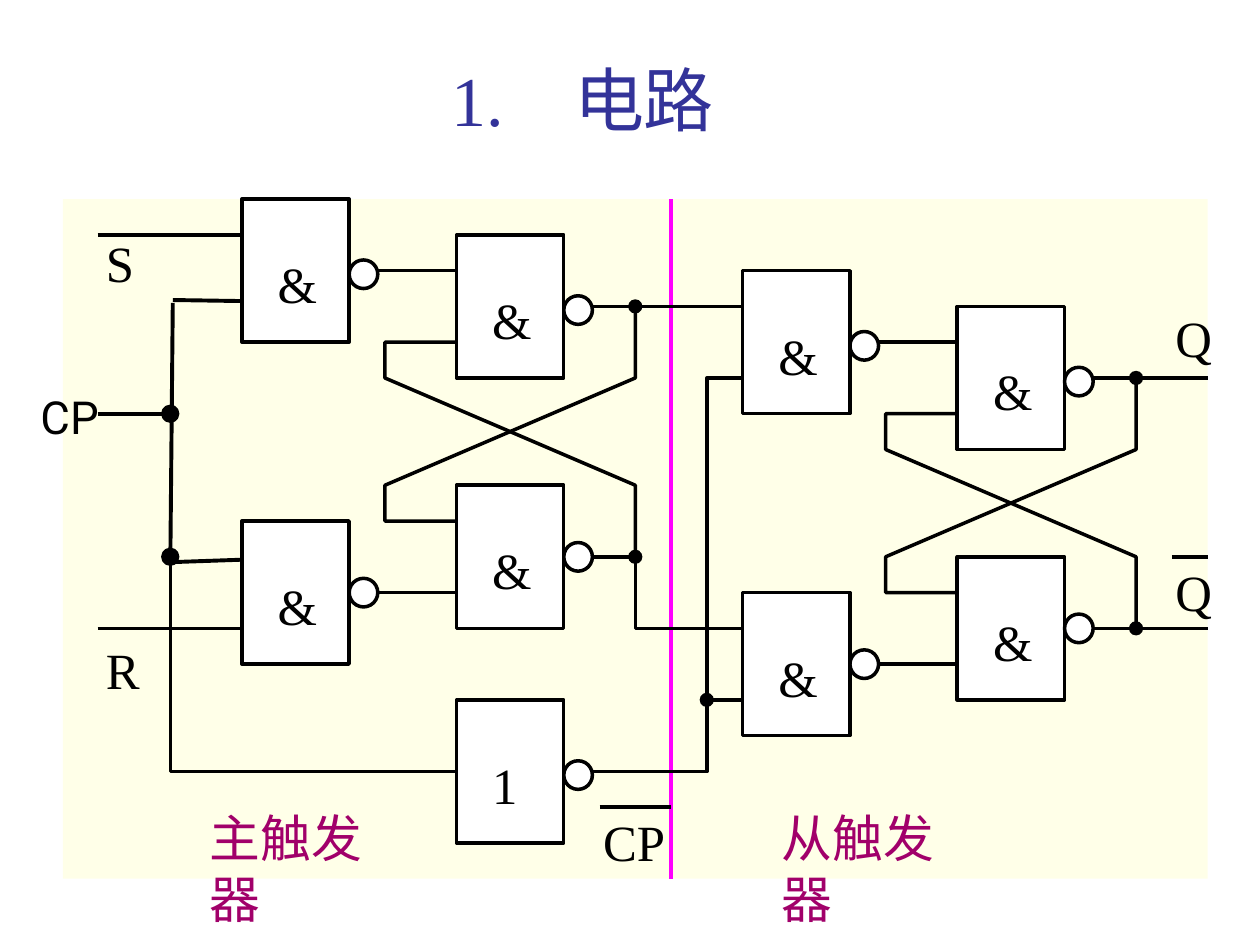
from lxml.etree import SubElement
from pptx import Presentation
from pptx.dml.color import RGBColor
from pptx.enum.shapes import MSO_CONNECTOR, MSO_SHAPE
from pptx.enum.text import MSO_ANCHOR, PP_ALIGN
from pptx.oxml.ns import qn
from pptx.util import Pt

BLACK = RGBColor(0x00, 0x00, 0x00)
WHITE = RGBColor(0xFF, 0xFF, 0xFF)
CREAM = RGBColor(0xFF, 0xFF, 0xE8)
MAGENTA = RGBColor(0xFF, 0x00, 0xFF)
PLUM = RGBColor(0xA1, 0x00, 0x6A)
INDIGO = RGBColor(0x33, 0x33, 0x99)

SERIF = "Times New Roman"
UNIT = 20.44
LEFT, TOP = 36, 113.8
GATE_W, GATE_H, BUBBLE = 3, 4, 0.8

# column, row, symbol, top of the inversion bubble below the gate's top
GATES = [
    (5, 0, "&", 1.7), (5, 9, "&", 1.6),
    (11, 1, "&", 1.7), (11, 8, "&", 1.6), (11, 14, "1", 1.7),
    (19, 2, "&", 1.7), (19, 11, "&", 1.6),
    (25, 3, "&", 1.7), (25, 10, "&", 1.6),
]
WIRES = [
    (0.97, 1, 5, 1), (0.97, 12, 5, 12),
    (8.8, 2, 11, 2), (8.8, 11, 11, 11),
    (14.8, 3, 19, 3), (14.8, 10, 16, 10), (18, 14, 19, 14),
    (22.8, 4, 25, 4), (22.8, 13, 25, 13),
    (28.8, 5, 32, 5), (28.8, 12, 32, 12),
]
CLOCK_WIRES = [
    (0.97, 6, 3, 6), (3.07, 2.82, 5, 2.85),
    (3.07, 2.9, 3, 10.2), (3, 10.15, 5, 10.08),
]
OVERBARS = [(31, 10, 32, 10), (15, 17, 17, 17)]
BENT_WIRES = [
    [(11, 16), (3, 16), (3, 10)],
    [(16, 10), (16, 12), (19, 12)],
    [(14, 16), (18, 16), (18, 5), (19, 5)],
]
LATCHES = [(11, 1), (25, 3)]
JUNCTIONS = [(16, 3), (16, 10), (18, 14), (30, 5), (30, 12)]
CLOCK_JUNCTIONS = [(3, 6), (3, 10)]
SIGNALS = [("S", 1.2, 0.9), ("R", 1.2, 12.3), ("Q", 31.1, 3),
           ("Q", 31.1, 10.1), ("CP", 15.1, 17.1)]
STAGES = [("主触发器", 4.1), ("从触发器", 20.1)]


def grid_x(column):
    return Pt(LEFT + column * UNIT)


def grid_y(row):
    return Pt(TOP + row * UNIT)


def span(units):
    return Pt(units * UNIT)


def add_block(slide, kind, column, row, width, height, fill, line_width=None):
    """Place a filled shape on the grid, outlined in black if a width is given."""
    block = slide.shapes.add_shape(kind, grid_x(column), grid_y(row),
                                   span(width), span(height))
    block.shadow.inherit = False
    block.fill.solid()
    block.fill.fore_color.rgb = fill
    if line_width:
        block.line.color.rgb = BLACK
        block.line.width = Pt(line_width)
    else:
        block.line.fill.background()


def add_wire(slide, x1, y1, x2, y2, width=2, color=BLACK):
    wire = slide.shapes.add_connector(MSO_CONNECTOR.STRAIGHT, grid_x(x1), grid_y(y1),
                                      grid_x(x2), grid_y(y2))
    wire.line.color.rgb = color
    wire.line.width = Pt(width)
    SubElement(wire._element.spPr, qn("a:effectLst"))


def add_bent_wire(slide, points):
    start, *rest = [(grid_x(x), grid_y(y)) for x, y in points]
    builder = slide.shapes.build_freeform(*start)
    builder.add_line_segments(rest, close=False)
    wire = builder.convert_to_shape()
    wire.shadow.inherit = False
    wire.fill.background()
    wire.line.color.rgb = BLACK
    wire.line.width = Pt(2)


def add_feedback(slide, column, row):
    """Cross-couple the two gates of a latch whose upper gate is at column, row."""
    for start, step in ((row + 3, 1), (row + 8, -1)):
        add_bent_wire(slide, [
            (column, start), (column - 2, start), (column - 2, start + step),
            (column + 5, start + 4 * step), (column + 5, start + 6 * step)])


def add_label(slide, text, column, row, width=40, size=29, font=SERIF, color=BLACK):
    box = slide.shapes.add_textbox(grid_x(column), grid_y(row), Pt(width), Pt(34.6))
    frame = box.text_frame
    frame.margin_left = frame.margin_right = frame.margin_top = frame.margin_bottom = 0
    frame.word_wrap = True
    paragraph = frame.paragraphs[0]
    paragraph.text = text
    paragraph.font.size = Pt(size)
    paragraph.font.name = font
    paragraph.font.color.rgb = color


def add_gate(slide, column, row, symbol, bubble_drop):
    add_block(slide, MSO_SHAPE.RECTANGLE, column, row, GATE_W, GATE_H, WHITE, 2)
    add_block(slide, MSO_SHAPE.OVAL, column + GATE_W, row + bubble_drop,
              BUBBLE, BUBBLE, WHITE, 2)
    add_label(slide, symbol, column + 1, row + 1.5)


def add_junction(slide, column, row, line_width=None):
    size = 0.4
    add_block(slide, MSO_SHAPE.OVAL, column - size / 2, row - size / 2,
              size, size, BLACK, line_width)


def add_title(slide):
    frame = slide.shapes.add_textbox(Pt(216), Pt(24), Pt(234), Pt(60)).text_frame
    frame.word_wrap = True
    frame.vertical_anchor = MSO_ANCHOR.BOTTOM
    paragraph = frame.paragraphs[0]
    paragraph.alignment = PP_ALIGN.CENTER
    paragraph.font.size = Pt(40)
    paragraph.font.name = SERIF
    paragraph.font.color.rgb = INDIGO
    number, gap, heading = [paragraph.add_run() for _ in range(3)]
    number.text, gap.text, heading.text = "1.", " ", "电路"
    gap.font._element.set("spc", "3000")


def main():
    deck = Presentation()
    deck.slide_width, deck.slide_height = Pt(720), Pt(540)
    slide = deck.slides.add_slide(deck.slide_layouts[6])

    add_title(slide)
    add_block(slide, MSO_SHAPE.RECTANGLE, 0, 0, 32, 19, CREAM)
    add_wire(slide, 17, 0, 17, 19, color=MAGENTA)
    for ends in WIRES + OVERBARS:
        add_wire(slide, *ends)
    for ends in CLOCK_WIRES:
        add_wire(slide, *ends, width=2.25)
    for points in BENT_WIRES:
        add_bent_wire(slide, points)
    for latch in LATCHES:
        add_feedback(slide, *latch)
    for gate in GATES:
        add_gate(slide, *gate)
    for spot in JUNCTIONS:
        add_junction(slide, *spot)
    for spot in CLOCK_JUNCTIONS:
        add_junction(slide, *spot, line_width=2.25)
    for signal in SIGNALS:
        add_label(slide, *signal)
    add_label(slide, "CP", -0.63, 5.3, size=26, font="Roboto")
    for stage, column in STAGES:
        add_label(slide, stage, column, 17, width=106.6, color=PLUM)

    deck.save("out.pptx")


if __name__ == "__main__":
    main()
